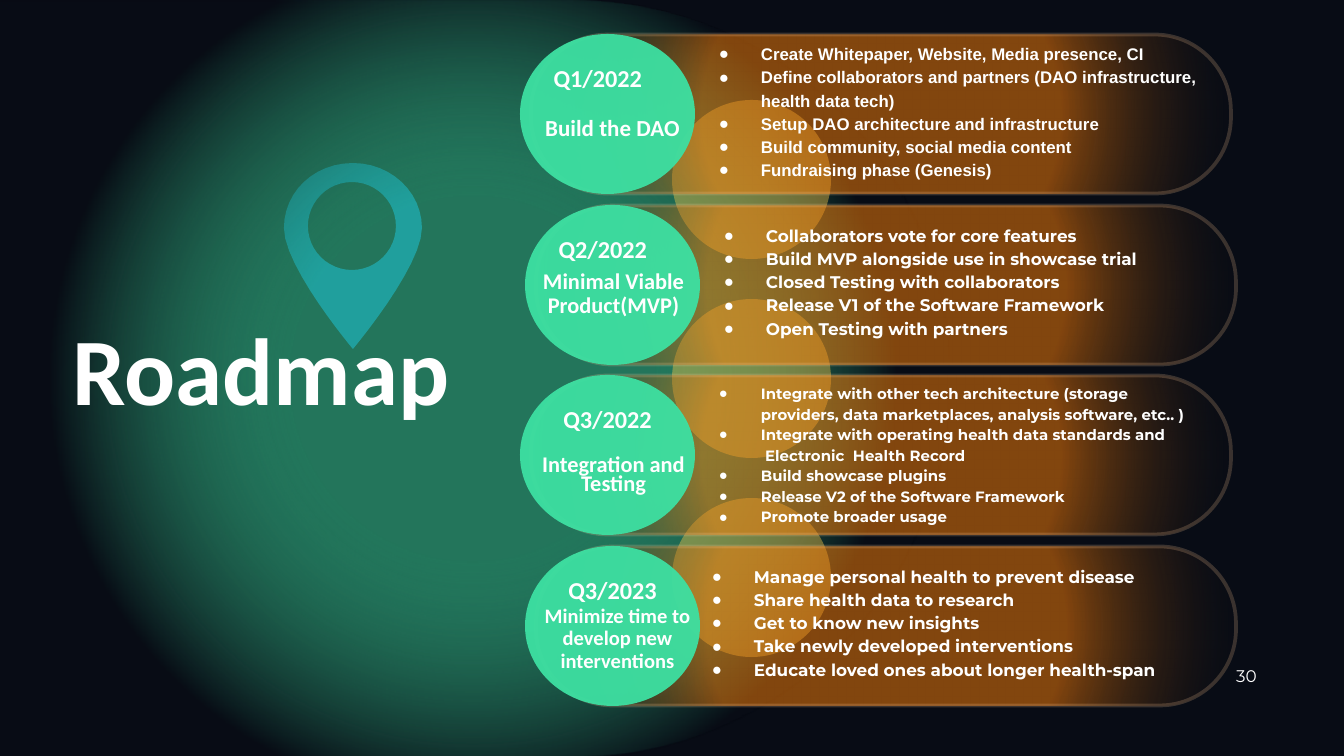
from copy import deepcopy
from math import cos, pi, sin

from lxml.etree import SubElement
from pptx import Presentation
from pptx.dml.color import RGBColor
from pptx.enum.shapes import MSO_SHAPE as Shape
from pptx.enum.text import MSO_ANCHOR as Anchor, PP_ALIGN as Align
from pptx.oxml.ns import qn
from pptx.util import Emu, Pt

PX = 914400 / 134.4
NIGHT = RGBColor(0x08, 0x0C, 0x15)
MINT = RGBColor(0x3D, 0xE0, 0xA2)
ORANGE = RGBColor(0xFD, 0x7F, 0x08)
PEACH = RGBColor(0xFF, 0xCB, 0x9A)
AMBER = RGBColor(0xFF, 0xCB, 0x4A)
AZURE = RGBColor(0x00, 0xA0, 0xFE)
WHITE = RGBColor(0xFF, 0xFF, 0xFF)

PANEL_STOPS = [(0, MINT, 50), (30, MINT, 50), (70, NIGHT, 100), (100, NIGHT, 100)]
PILL_STOPS = [(0, ORANGE, 50), (50, ORANGE, 50), (100, NIGHT, 6)]

PHASES = [
    dict(date="Q1/2022", align=Align.LEFT, goal="Build the DAO",
         goal_at=(531, 117), goal_size=12.3, goal_spacing=0.9,
         list_at=(694, 42, 665, 137), font="Arial", size=9,
         tasks=["Create Whitepaper, Website, Media presence, CI",
                "Define collaborators and partners (DAO infrastructure, \vhealth data tech)",
                "Setup DAO architecture and infrastructure",
                "Build community, social media content",
                "Fundraising phase (Genesis)"]),
    dict(date="Q2/2022", align=Align.LEFT, goal="Minimal Viable Product(MVP)",
         goal_at=(532, 270), goal_size=12, goal_spacing=0.9,
         list_at=(699, 223, 665, 115), font="Montserrat", size=9,
         tasks=["Collaborators vote for core features",
                "Build MVP alongside use in showcase trial",
                "Closed Testing with collaborators",
                "Release V1 of the Software Framework",
                "Open Testing with partners"]),
    dict(date="Q3/2022", align=Align.CENTER, goal="Integration and Testing",
         goal_at=(532, 458), goal_size=12, goal_spacing=0.7,
         list_at=(694, 383, 665, 142), font="Montserrat", size=8,
         tasks=["Integrate with other tech architecture (storage \v"
                "providers, data marketplaces, analysis software, etc.. )",
                "Integrate with operating health data standards and\v Electronic  Health Record",
                "Build showcase plugins",
                "Release V2 of the Software Framework",
                "Promote broader usage"]),
    dict(date="Q3/2023", align=Align.CENTER,
         goal="Minimize time to develop new interventions",
         goal_at=(536, 606), goal_size=11, goal_spacing=0.9,
         list_at=(687, 564, 665, 115), font="Montserrat", size=9,
         tasks=["Manage personal health to prevent disease",
                "Share health data to research",
                "Get to know new insights",
                "Take newly developed interventions",
                "Educate loved ones about longer health-span"]),
]
ROW_TOP, ROW_PITCH, ROW_SHIFT = 34, 170.6, 5
DISC_W, DISC_H = 175, 160
PILL_LENGTH, PILL_THICK = 700, 159
GLOW_SIZE, GLOW_PITCH = 159, 199

PIN_CURVES = [[(353, 163), (314, 163), (284, 192), (284, 228)],
              [(284, 228), (284, 267), (353, 349), (353, 349)],
              [(353, 349), (353, 349), (422, 267), (422, 228)],
              [(422, 228), (422, 192), (391, 163), (353, 163)]]
PIN_HOLE = (352, 226, 44)


def emu(*lengths):
    return [Emu(round(length * PX)) for length in lengths]


def set_alpha(color_node, percent):
    SubElement(color_node, qn("a:alpha"), val=str(percent * 1000))


def fill_solid(shape, color, alpha):
    shape.shadow.inherit = False
    shape.fill.solid()
    shape.fill.fore_color.rgb = color
    set_alpha(shape.fill._xPr.find(".//" + qn("a:srgbClr")), alpha)
    shape.line.fill.background()


def fill_radial(shape, stops):
    shape.shadow.inherit = False
    shape.fill.gradient()
    gradient = shape._element.spPr.find(qn("a:gradFill"))
    for child in list(gradient):
        gradient.remove(child)
    stop_list = SubElement(gradient, qn("a:gsLst"))
    for position, color, alpha in stops:
        stop = SubElement(stop_list, qn("a:gs"), pos=str(position * 1000))
        set_alpha(SubElement(stop, qn("a:srgbClr"), val=str(color)), alpha)
    circle = SubElement(gradient, qn("a:path"), path="circle")
    SubElement(circle, qn("a:fillToRect"), l="50000", t="50000", r="50000", b="50000")


def write(frame, texts, size, font="Calibri", bold=True, align=Align.LEFT,
          spacing=0.9, anchor=Anchor.TOP, insets=(0, 0, 0, 0), bullets=False):
    frame.word_wrap = True
    frame.vertical_anchor = anchor
    (frame.margin_left, frame.margin_top,
     frame.margin_right, frame.margin_bottom) = emu(*insets)
    for index, text in enumerate(texts):
        para = frame.add_paragraph() if index else frame.paragraphs[0]
        para.text = text
        para.alignment = align
        para.line_spacing = spacing
        if bullets:
            props = para._p.get_or_add_pPr()
            props.set("marL", str(emu(67)[0]))
            props.set("indent", str(emu(-42)[0]))
            tint = SubElement(props, qn("a:buClr"))
            SubElement(tint, qn("a:srgbClr"), val=str(WHITE))
            SubElement(props, qn("a:buFont"), typeface="Arial")
            SubElement(props, qn("a:buChar"), char="●")
        for span in para.runs:
            span.font.size = Pt(size)
            span.font.name = font
            span.font.bold = bold
            span.font.color.rgb = WHITE
        for line_break in para._p.findall(qn("a:br")):
            line_break.append(deepcopy(para.runs[0]._r.rPr))


def add_text(page, at, texts, size, **style):
    box = page.shapes.add_textbox(*emu(*at))
    write(box.text_frame, texts, size, **style)


def add_pin(page):
    steps = 12
    outline = [tuple((1 - t) ** 3 * a + 3 * (1 - t) ** 2 * t * b
                     + 3 * (1 - t) * t ** 2 * c + t ** 3 * d
                     for a, b, c, d in zip(*curve))
               for curve in PIN_CURVES for t in (k / steps for k in range(steps))]
    x, y, radius = PIN_HOLE
    hole = [(x + radius * sin(turn), y + radius * cos(turn))
            for turn in (2 * pi * k / 48 for k in range(48))]
    builder = page.shapes.build_freeform(*emu(*outline[0]))
    builder.add_line_segments([emu(*point) for point in outline[1:]])
    builder.move_to(*emu(*hole[0]))
    builder.add_line_segments([emu(*point) for point in hole[1:]])
    fill_solid(builder.convert_to_shape(), AZURE, 57)


def add_phase(page, index, phase):
    left = 520 + ROW_SHIFT * (index % 2)
    top = ROW_TOP + round(index * ROW_PITCH)
    center_x, center_y = left + 361, top + DISC_H / 2
    pill = page.shapes.add_shape(Shape.ROUNDED_RECTANGLE, *emu(
        center_x - PILL_THICK / 2, center_y - PILL_LENGTH / 2, PILL_THICK, PILL_LENGTH))
    pill.rotation = 270
    pill.adjustments[0] = 0.48
    fill_radial(pill, PILL_STOPS)
    pill.line.width = Pt(2)
    pill.line.color.rgb = PEACH
    set_alpha(pill.line._ln.find(".//" + qn("a:srgbClr")), 20)

    add_text(page, phase["list_at"], phase["tasks"], phase["size"], font=phase["font"],
             spacing=1.15, anchor=Anchor.MIDDLE, bullets=True)
    disc = page.shapes.add_shape(Shape.OVAL, *emu(left, top, DISC_W, DISC_H))
    fill_solid(disc, MINT, 95)
    write(disc.text_frame, [phase["date"]], 13, align=phase["align"], insets=(8, 9, 8, 24))
    add_text(page, (*phase["goal_at"], 163, 36), [phase["goal"]], phase["goal_size"],
             align=Align.CENTER, spacing=phase["goal_spacing"])


def main():
    deck = Presentation()
    deck.slide_width, deck.slide_height = emu(1344, 756)
    page = deck.slides.add_slide(deck.slide_layouts[6])
    page.background.fill.solid()
    page.background.fill.fore_color.rgb = NIGHT

    add_pin(page)
    panel = page.shapes.add_shape(Shape.ROUND_2_SAME_RECTANGLE, *emu(95, -98, 755, 953))
    panel.rotation = 90
    panel.adjustments[0] = 0.5
    panel.adjustments[1] = 0
    fill_radial(panel, PANEL_STOPS)
    panel.line.fill.background()
    for index in range(3):
        glow = page.shapes.add_shape(Shape.OVAL, *emu(
            672, 100 + index * GLOW_PITCH, GLOW_SIZE, GLOW_SIZE))
        fill_solid(glow, AMBER, 40)

    for index, phase in enumerate(PHASES):
        add_phase(page, index, phase)
    add_text(page, (73, 323, 476, 103), ["Roadmap"], 51)
    add_text(page, (1227, 656, 39, 40), ["30"], 9, font="Montserrat", bold=False,
             align=Align.CENTER, spacing=1, anchor=Anchor.MIDDLE, insets=(5, 3, 5, 3))
    deck.save("out.pptx")


if __name__ == "__main__":
    main()
